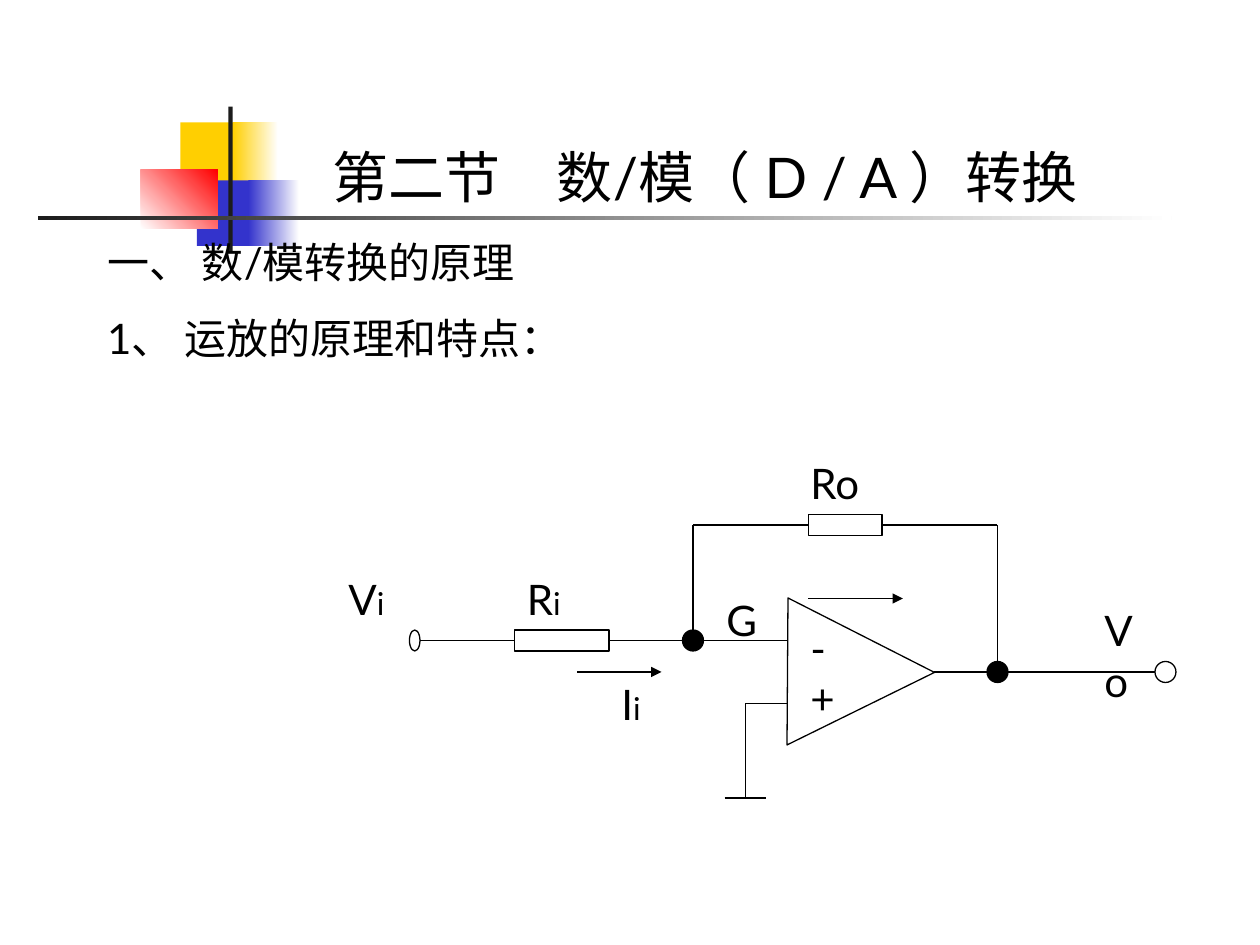
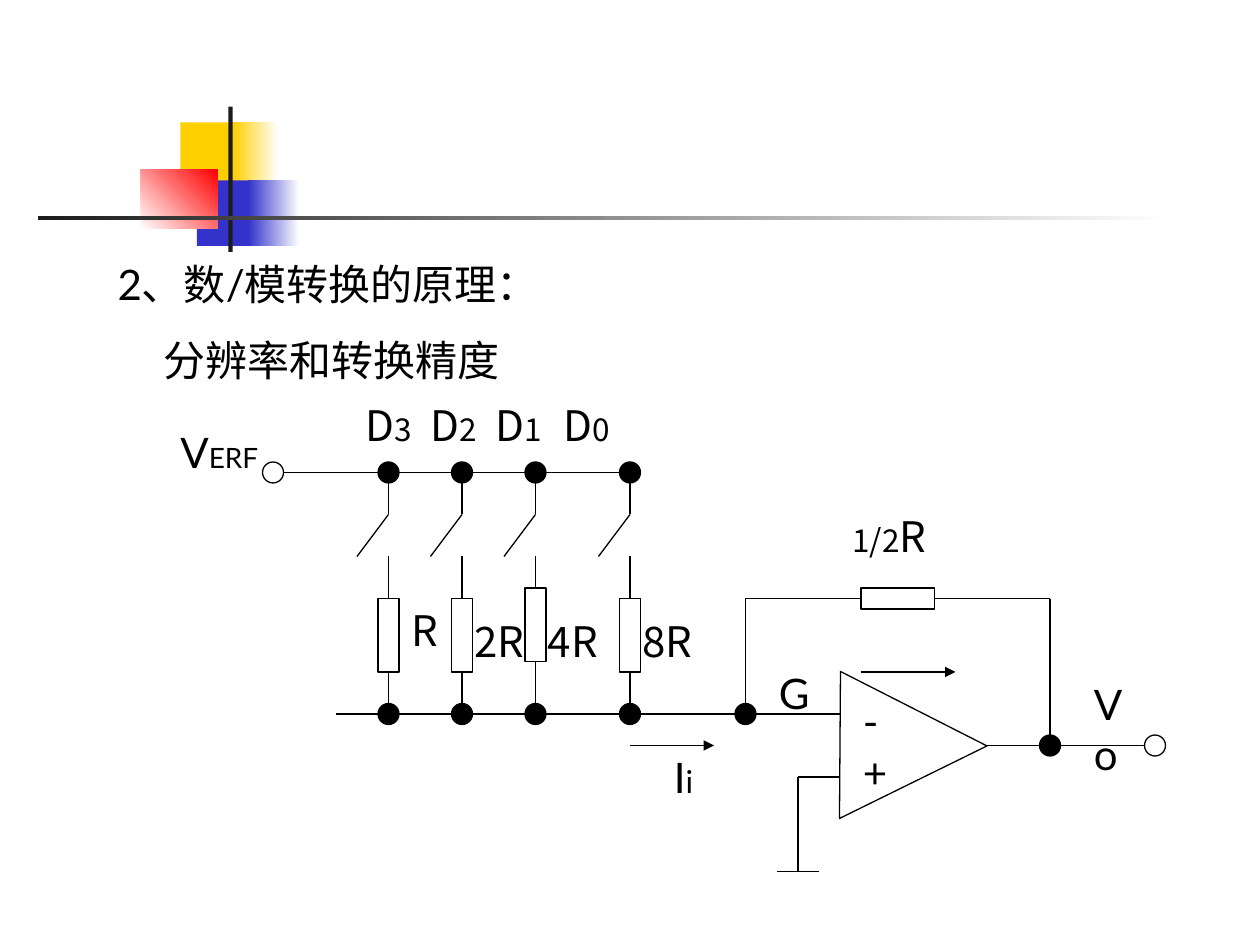
from lxml.etree import SubElement
from pptx import Presentation
from pptx.dml.color import RGBColor
from pptx.enum.shapes import MSO_CONNECTOR, MSO_SHAPE
from pptx.enum.text import MSO_ANCHOR, MSO_AUTO_SIZE, PP_ALIGN
from pptx.oxml.ns import qn
from pptx.util import Pt

COLORS = {
    "ink": "000000",
    "paper": "FFFFFF",
    "bar": "1C1C1C",
    "yellow": "FFCF01",
    "blue": "3333CC",
    "red": "FF0000",
}
LATIN = "Lato"
CJK = "Noto Sans CJK SC"
DOT = 12
MOTIF = [
    (103, 70, 34.5, 37.5, "yellow", None, 0),
    (133, 70, 26, 37.5, "yellow", "paper", 0),
    (112.5, 103, 33, 37.5, "blue", None, 0),
    (142, 103, 29, 37.5, "blue", "paper", 0),
    (80.5, 97, 44, 33.5, "paper", "red", 45),
    (130.5, 61, 2.5, 83, "bar", None, 0),
    (21.5, 123.2, 648, 2.5, "bar", "paper", 0),
]


def rgb(name):
    return RGBColor.from_string(COLORS[name])


def box(x, y, w, h):
    return Pt(x), Pt(y), Pt(w), Pt(h)


def format_run(r, size, font):
    r.font.size = Pt(size)
    r.font.name = font
    r.font.color.rgb = rgb("ink")
    ea = SubElement(r.font._element, qn("a:ea"))
    ea.set("typeface", font)


def add_motif(prs, s):
    tree = prs.slide_master.shapes.element
    for i, (x, y, w, h, start, end, angle) in enumerate(MOTIF):
        sp = s.shapes.add_shape(MSO_SHAPE.RECTANGLE, *box(x, y, w, h))
        sp.shadow.inherit = False
        sp.line.fill.background()
        if end:
            sp.fill.gradient()
            sp.fill.gradient_angle = angle
            for stop, name in zip(sp.fill.gradient_stops, (start, end)):
                stop.color.rgb = rgb(name)
        else:
            sp.fill.solid()
            sp.fill.fore_color.rgb = rgb(start)
        tree.insert(2 + i, sp.element)


def fill_placeholder(ph, bounds, text, size):
    ph.left, ph.top, ph.width, ph.height = box(*bounds)
    tf = ph.text_frame
    tf.text = text
    tf.auto_size = MSO_AUTO_SIZE.NONE
    tf.vertical_anchor = MSO_ANCHOR.TOP
    for p in tf.paragraphs:
        for r in p.runs:
            format_run(r, size, LATIN)
    return tf.paragraphs


def add_title(s, bounds, text):
    p = fill_placeholder(s.shapes.title, bounds, text, 32)[0]
    p.alignment = PP_ALIGN.CENTER


def add_body(s, bounds, lines, margins=(0, 0)):
    paragraphs = fill_placeholder(s.placeholders[1], bounds, "\n".join(lines), 24)
    for p, margin in zip(paragraphs, margins):
        p.space_before = Pt(15)
        pPr = p._p.get_or_add_pPr()
        pPr.set("marL", str(Pt(margin)))
        pPr.set("indent", "0")
        SubElement(pPr, qn("a:buNone"))


def add_label(s, bounds, text, sub="", size=24, sub_size=18, font=LATIN):
    tf = s.shapes.add_textbox(*box(*bounds)).text_frame
    tf.word_wrap = True
    tf.text = text
    for p in tf.paragraphs:
        format_run(p.runs[0], size, font)
    if sub:
        r = p.add_run()
        r.text = sub
        format_run(r, sub_size, font)


def add_outlined(s, kind, bounds, fill=None):
    sp = s.shapes.add_shape(kind, *box(*bounds))
    sp.shadow.inherit = False
    sp.line.color.rgb = rgb("ink")
    sp.line.width = Pt(0.75)
    if fill:
        sp.fill.solid()
        sp.fill.fore_color.rgb = rgb(fill)
    else:
        sp.fill.background()
    return sp


def add_resistor(s, x, y, w, h):
    add_outlined(s, MSO_SHAPE.RECTANGLE, (x, y, w, h), "paper")


def add_node(s, x, y):
    add_outlined(s, MSO_SHAPE.OVAL, (x - DOT / 2, y - DOT / 2, DOT, DOT), "ink")


def add_terminal(s, x, y, w=DOT):
    add_outlined(s, MSO_SHAPE.OVAL, (x, y - DOT / 2, w, DOT))


def add_wire(s, *points, arrow=False):
    for (x1, y1), (x2, y2) in zip(points, points[1:]):
        c = s.shapes.add_connector(MSO_CONNECTOR.STRAIGHT, Pt(x1), Pt(y1), Pt(x2), Pt(y2))
        c.line.color.rgb = rgb("ink")
        c.line.width = Pt(0.75)
        spPr = c.element.spPr
        if arrow:
            SubElement(spPr.find(qn("a:ln")), qn("a:tailEnd")).set("type", "triangle")
        SubElement(spPr, qn("a:effectLst"))


def add_op_amp(s, gx, gy, input_x, output_x):
    out_y, feedback_y, ground_y = gy + 18, gy - 66, gy + 90
    amp_x, out_x, ground_x = gx + 54, gx + 174, gx + 30
    triangle = add_outlined(s, MSO_SHAPE.ISOSCELES_TRIANGLE, (amp_x, gy - 24, 84, 84))
    triangle.rotation = 90.4
    add_label(s, (gx + 60, gy - 14, 36, 65), "-\n+")
    add_wire(s, (input_x, gy), (amp_x, gy))
    add_wire(s, (gx, gy), (gx, feedback_y), (out_x, feedback_y), (out_x, out_y))
    add_wire(s, (amp_x + 84, out_y), (output_x, out_y))
    add_wire(s, (amp_x, gy + 36), (ground_x, gy + 36), (ground_x, ground_y))
    add_wire(s, (ground_x - 12, ground_y), (ground_x + 12, ground_y))
    add_resistor(s, gx + 66, feedback_y - 6, 42, 12)
    add_terminal(s, output_x, out_y)
    add_node(s, out_x, out_y)
    add_node(s, gx, gy)
    add_wire(s, (gx - 66, out_y), (gx - 18, out_y), arrow=True)
    add_wire(s, (gx + 66, gy - 24), (gx + 120, gy - 24), arrow=True)
    add_label(s, (gx + 12, gy - 30, 30, 36), "G")
    add_label(s, (gx - 48, out_y, 42, 36), "I", "i")
    add_label(s, (output_x - 36, gy - 24, 42, 65), "Vo")


def add_switch_branch(s, x, top, bottom, resistor_y):
    add_wire(s, (x, top + 48), (x, bottom))
    add_resistor(s, x - 6, resistor_y, 12, 42)
    add_wire(s, (x, top), (x, top + 24), (x - 18, top + 48))
    add_node(s, x, bottom)
    add_node(s, x, top)


def build_amplifier(s):
    add_title(s, (158, 78, 490, 46), "第二节　数/模（ D / A ）转换")
    add_body(s, (54, 131.4, 606, 80), ["一、 数/模转换的原理", "1、 运放的原理和特点："])
    add_op_amp(s, 396, 366, 240, 660)
    add_resistor(s, 294, 360, 54, 12)
    add_terminal(s, 234, 366, 6)
    add_label(s, (456, 258, 60, 36), "Ro")
    add_label(s, (294, 324, 66, 36), "R", "i")
    add_label(s, (192, 324, 42, 36), "V", "i")


def build_converter(s):
    title = s.shapes.title.element
    title.getparent().remove(title)
    add_body(s, (60, 144, 630, 80), ["2、数/模转换的原理：", "分辨率和转换精度"], (0, 26))
    bus_y, sum_y = 270, 408
    add_op_amp(s, 426, sum_y, 192, 654)
    add_label(s, (480, 288, 66, 36), "1/2", "R", 18, 24, CJK)
    add_wire(s, (162, bus_y), (354, bus_y))
    add_terminal(s, 150, bus_y)
    add_label(s, (96, 240, 60, 36), "V", "ERF", sub_size=16)
    branches = [
        (222, 342, "3", 202, "R", 228, 342),
        (264, 342, "2", 239, "2R", 264, 348),
        (306, 336, "1", 276, "4R", 306, 348),
        (360, 342, "0", 315, "8R", 360, 348),
    ]
    for x, resistor_y, bit, bit_x, value, value_x, value_y in branches:
        add_switch_branch(s, x, bus_y, sum_y, resistor_y)
        add_label(s, (bit_x, 225, 48, 36), "D", bit, font=CJK)
        add_label(s, (value_x, value_y, 48, 36), value, font=CJK)


def main():
    prs = Presentation()
    prs.slide_width, prs.slide_height = Pt(720), Pt(540)
    layout = prs.slide_layouts[1]
    amplifier, converter = [prs.slides.add_slide(layout) for _ in range(2)]
    add_motif(prs, amplifier)
    build_amplifier(amplifier)
    build_converter(converter)
    prs.save("out.pptx")


if __name__ == "__main__":
    main()
